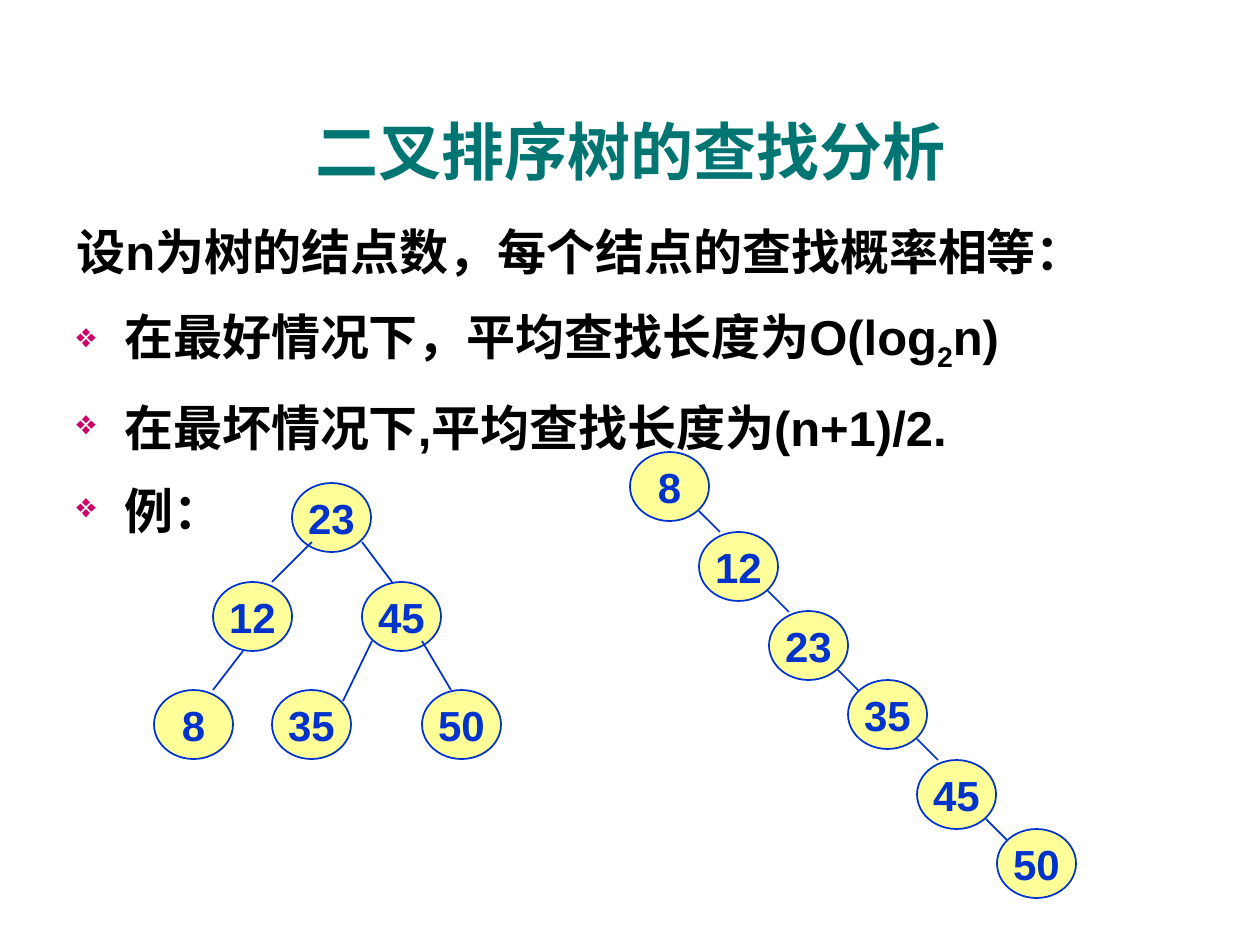
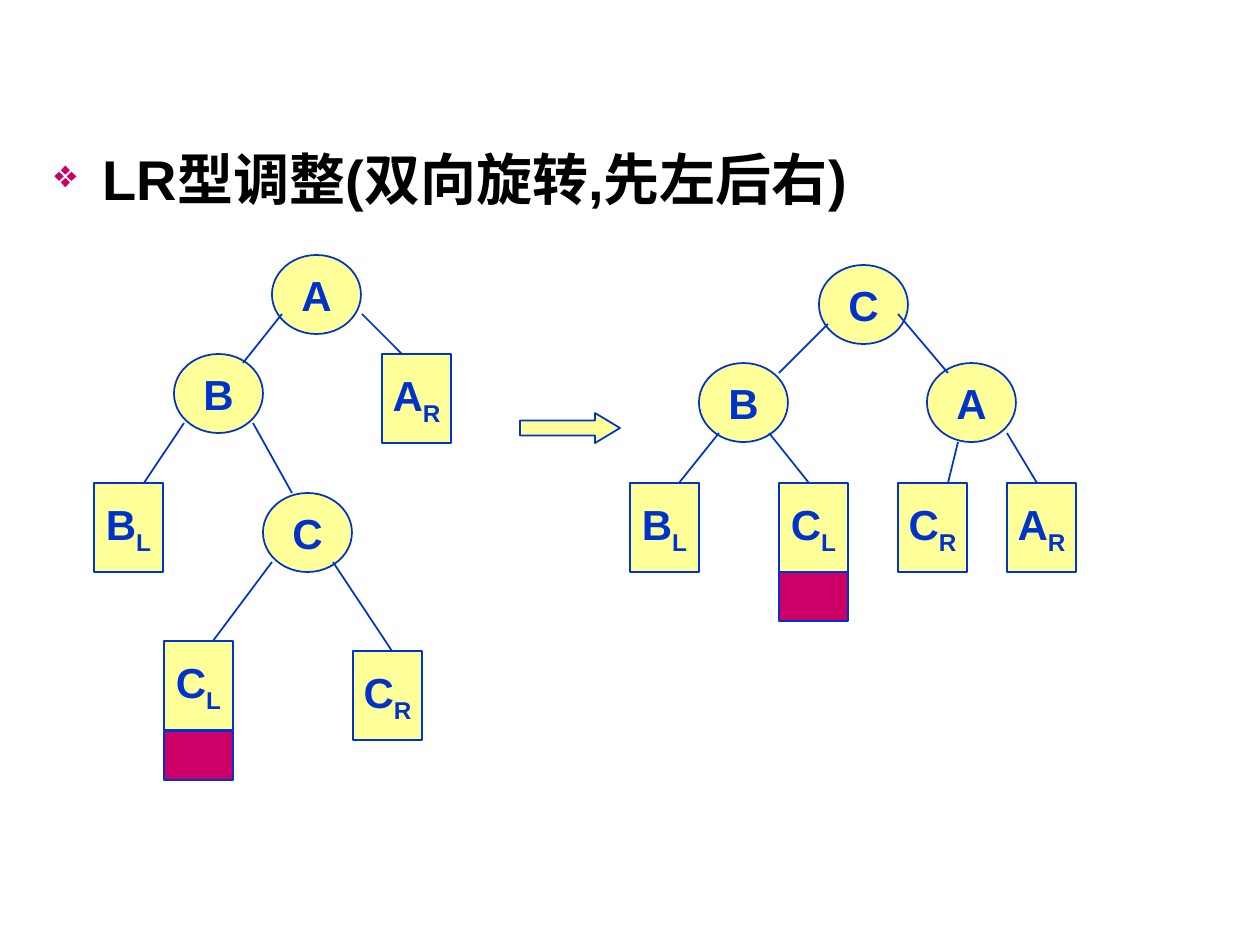
from lxml.etree import SubElement
from pptx import Presentation
from pptx.dml.color import RGBColor
from pptx.enum.shapes import MSO_CONNECTOR, MSO_SHAPE as SHAPE
from pptx.enum.text import MSO_ANCHOR as ANCHOR, PP_ALIGN as ALIGN
from pptx.oxml.ns import qn
from pptx.util import Emu, Pt

PX = 914400 / 126
COLORS = {"title": "007572", "text": "000000", "blue": "0033CC",
          "node": "FFFF99", "accent": "CC0066"}
FONT = "Arial"
TITLE_ONLY, BLANK = 5, 6


def px(*lengths):
    return [Emu(round(length * PX)) for length in lengths]


def rgb(name):
    return RGBColor.from_string(COLORS[name])


def write(paragraph, text, size=24, color="blue", align=None):
    """Add bold runs; each part between underscores is a subscript."""
    paragraph.alignment = align
    for i, part in enumerate(text.split("_")):
        if not part:
            continue
        run = paragraph.add_run()
        run.text = part
        run.font.name, run.font.size, run.font.bold = FONT, Pt(size), True
        run.font.color.rgb = rgb(color)
        if i % 2:
            run.font._element.set("baseline", "-25000")


def add_bullet(paragraph):
    props = paragraph._p.get_or_add_pPr()
    bullet_color = SubElement(props, qn("a:buClr"))
    SubElement(bullet_color, qn("a:srgbClr"), val=COLORS["accent"])
    SubElement(props, qn("a:buSzPct"), val="70000")
    SubElement(props, qn("a:buChar"), char="❖")


class Deck:
    def __init__(self):
        self.prs = Presentation()
        self.prs.slide_width, self.prs.slide_height = px(1260, 945)

    def new_slide(self, layout):
        self.slide = self.prs.slides.add_slide(self.prs.slide_layouts[layout])
        self.shapes = self.slide.shapes

    def new_tree(self):
        """Put the shapes that follow into a group of their own."""
        self.shapes = self.slide.shapes.add_group_shape().shapes

    def end_tree(self):
        self.shapes = self.slide.shapes

    def title(self, text, box):
        title = self.slide.shapes.title
        title.left, title.top, title.width, title.height = px(*box)
        title.text_frame.vertical_anchor = ANCHOR.MIDDLE
        write(title.text_frame.paragraphs[0], text, size=36, color="title",
              align=ALIGN.CENTER)

    def body(self, lines, box, size):
        """Write (text, has bullet) lines with a hanging indent."""
        frame = self.slide.shapes.add_textbox(*px(*box)).text_frame
        frame.word_wrap = True
        for i, (text, has_bullet) in enumerate(lines):
            paragraph = frame.add_paragraph() if i else frame.paragraphs[0]
            paragraph.line_spacing = 1.2
            paragraph.space_before = Pt(size / 4 if i else 0)
            props = paragraph._p.get_or_add_pPr()
            indent = px(48)[0]
            props.set("marL", str(indent))
            props.set("indent", str(-indent))
            if has_bullet:
                add_bullet(paragraph)
            write(paragraph, text, size=size, color="text")

    def shape(self, kind, box, text="", fill="node"):
        shape = self.shapes.add_shape(kind, *px(*box))
        shape.shadow.inherit = False
        shape.fill.solid()
        shape.fill.fore_color.rgb = rgb(fill)
        shape.line.color.rgb = rgb("blue")
        shape.line.width = Pt(1)
        if text:
            shape.text_frame.word_wrap = False
            shape.text_frame.vertical_anchor = ANCHOR.MIDDLE
            write(shape.text_frame.paragraphs[0], text, align=ALIGN.CENTER)
        return shape

    def nodes(self, kind, size, places):
        for text, left, top in places:
            self.shape(kind, (left, top, *size), text)

    def edges(self, ends):
        for points in ends:
            edge = self.shapes.add_connector(MSO_CONNECTOR.STRAIGHT, *px(*points))
            edge.line.color.rgb = rgb("blue")
            edge.line.width = Pt(1)
            SubElement(edge._element.spPr, qn("a:effectLst"))


def search_analysis(deck):
    deck.new_slide(TITLE_ONLY)
    deck.title("二叉排序树的查找分析", (42, 95, 1177, 110))
    deck.body([("设n为树的结点数，每个结点的查找概率相等：", False),
               ("在最好情况下，平均查找长度为O(log_2_n)", True),
               ("在最坏情况下,平均查找长度为(n+1)/2.", True),
               ("例：", True)], (64, 204, 1084, 704), size=28)
    node_size = (79, 69)

    # Best case: balanced tree
    deck.new_tree()
    deck.nodes(SHAPE.OVAL, node_size, [
        ("23", 292, 483), ("12", 213, 582), ("45", 362, 582),
        ("8", 154, 690), ("35", 272, 690), ("50", 422, 690)])
    deck.edges([(312, 542, 272, 582), (362, 542, 392, 582),
                (243, 651, 213, 690), (372, 641, 343, 701),
                (422, 641, 451, 690)])

    # Worst case: every node has only a right child
    chain = [("8", 630, 452), ("12", 699, 532), ("23", 769, 611),
             ("35", 848, 680), ("45", 917, 760), ("50", 997, 829)]
    deck.new_tree()
    deck.edges([(left + 69, top + 59, left + 90, top + 80)
                for _, left, top in chain[:-1]])
    deck.nodes(SHAPE.OVAL, node_size, chain)


def lr_rotation(deck):
    deck.new_slide(BLANK)
    deck.body([("LR型调整(双向旋转,先左后右)", True)],
              (42, 125, 1177, 683), size=32)
    node_size, subtree_size = (89, 79), (69, 89)

    # Inserted nodes below the subtree C_L
    for left, top in [(164, 731), (779, 572)]:
        deck.shape(SHAPE.RECTANGLE, (left, top, 69, 49), fill="accent")

    # Tree before the rotation
    deck.new_tree()
    deck.nodes(SHAPE.OVAL, node_size,
               [("A", 272, 255), ("B", 174, 354), ("C", 263, 493)])
    deck.nodes(SHAPE.RECTANGLE, subtree_size, [
        ("A_R", 382, 354), ("B_L", 94, 483), ("C_L", 164, 641), ("C_R", 353, 651)])
    deck.edges([(282, 314, 243, 363), (362, 314, 402, 354),
                (184, 423, 144, 483), (253, 423, 292, 493),
                (272, 562, 213, 641), (333, 562, 392, 651)])

    # Tree after the rotation
    deck.new_tree()
    deck.nodes(SHAPE.OVAL, node_size,
               [("C", 819, 265), ("B", 699, 363), ("A", 927, 363)])
    deck.nodes(SHAPE.RECTANGLE, subtree_size, [
        (text, left, 483) for text, left in
        [("B_L", 630), ("C_L", 779), ("C_R", 898), ("A_R", 1007)]])
    deck.edges([(828, 324, 779, 373), (898, 314, 948, 373),
                (719, 433, 679, 483), (769, 433, 809, 483),
                (958, 442, 948, 483), (1007, 433, 1037, 483)])

    # Arrow from before to after
    deck.end_tree()
    arrow = deck.shape(SHAPE.RIGHT_ARROW, (520, 413, 100, 30))
    arrow.adjustments[0], arrow.adjustments[1] = 0.5, 0.83


def main():
    deck = Deck()
    search_analysis(deck)
    lr_rotation(deck)
    deck.prs.save("out.pptx")


if __name__ == "__main__":
    main()
